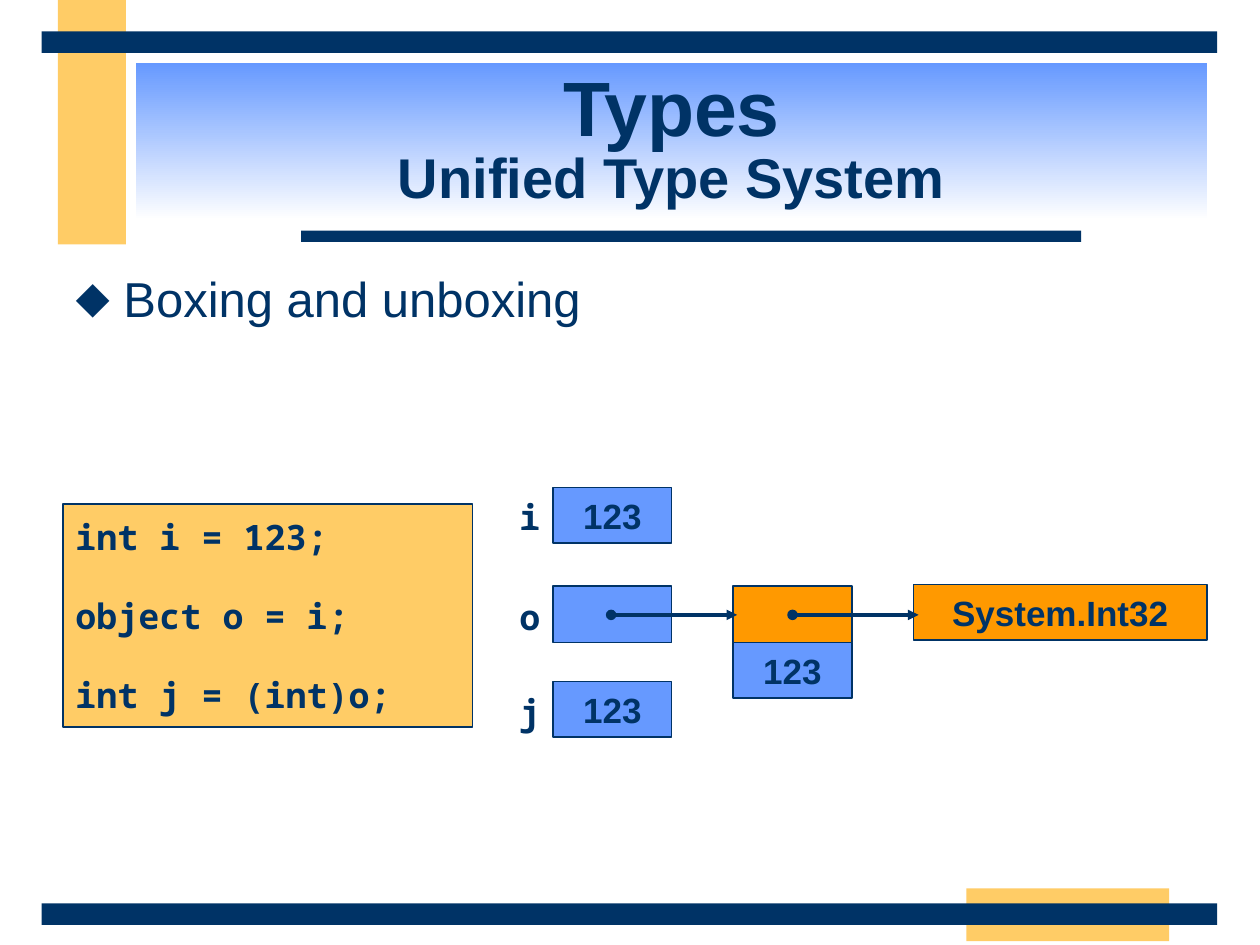
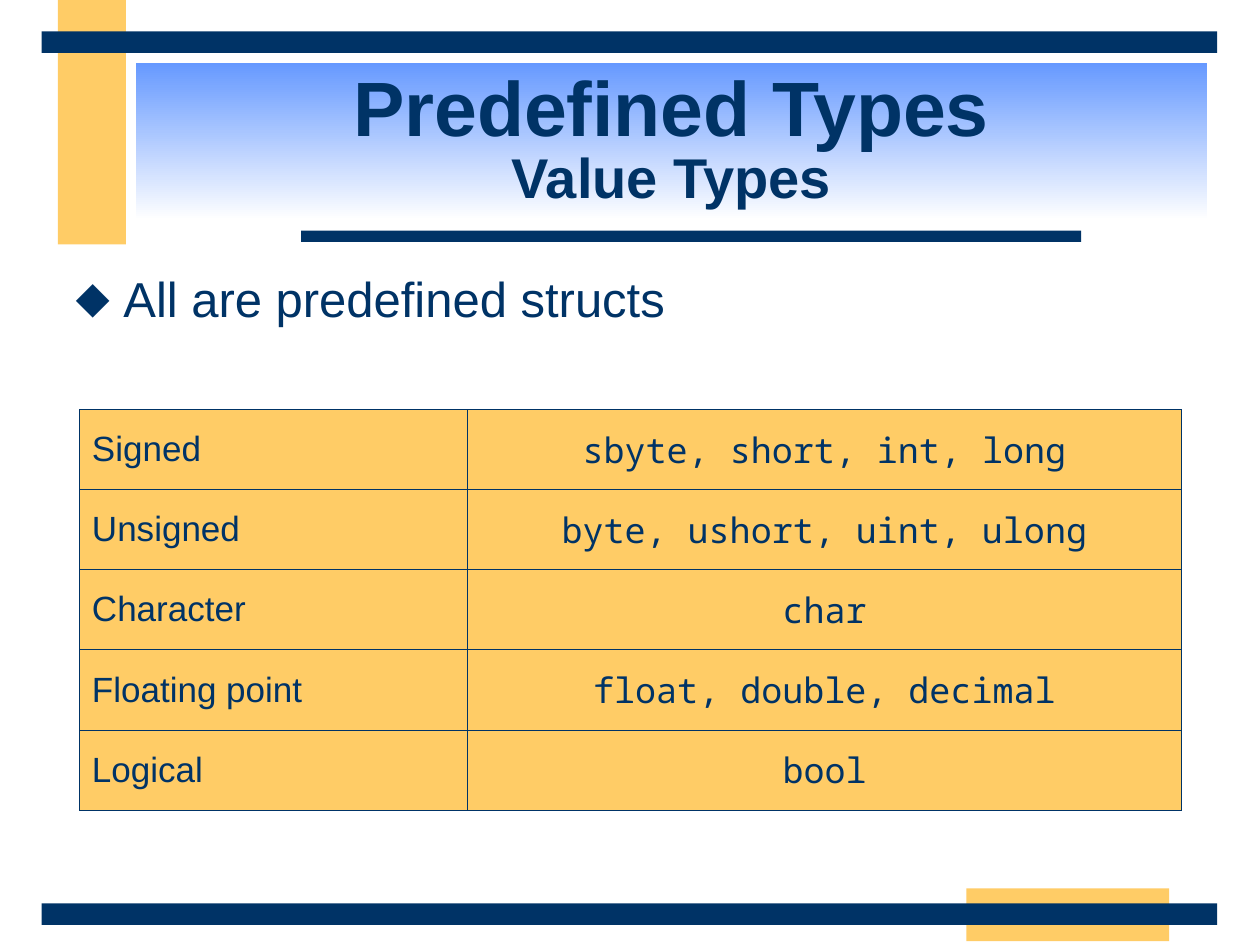
from dataclasses import dataclass

from lxml.etree import SubElement
from pptx import Presentation
from pptx.dml.color import RGBColor
from pptx.enum.shapes import MSO_CONNECTOR, MSO_SHAPE
from pptx.enum.text import MSO_ANCHOR as Anchor
from pptx.enum.text import MSO_AUTO_SIZE as AutoSize
from pptx.enum.text import PP_ALIGN as Align
from pptx.oxml.ns import qn
from pptx.util import Inches, Pt

COLORS = {
    "navy": "003366",
    "sand": "FFCC66",
    "blue": "6699FF",
    "orange": "FF9900",
    "white": "FFFFFF",
}
SANS = "Arial"
MONO = "Noto Sans Mono"


@dataclass(frozen=True)
class Block:
    left: float
    top: float
    width: float
    height: float
    fill: str
    text: str = ""
    border: float = 0

    @property
    def frame(self) -> tuple:
        return tuple(map(Inches, (self.left, self.top, self.width, self.height)))


@dataclass(frozen=True)
class Arrow:
    left: float
    right: float
    level: float


BANDS = (
    Block(0.46, 0, 0.54, 1.94, "sand"),
    Block(7.67, 7.05, 1.61, 0.42, "sand"),
    Block(2.39, 1.83, 6.19, 0.09, "navy"),
    Block(0.33, 7.17, 9.33, 0.17, "navy"),
    Block(0.33, 0.25, 9.33, 0.17, "navy"),
)
TITLE = Block(1.08, 0.5, 8.5, 1.25, "blue")
BODY = Block(0.5, 2.08, 9, 4.92, "white")

CODE = Block(0.5, 4, 3.25, 1.77, "sand", border=0.75)
CODE_LINES = ("int i = 123;", "object o = i;", "int j = (int)o;")
MEMORY = (
    Block(4.39, 3.87, 0.94, 0.44, "blue", "123", 1),
    Block(4.39, 5.41, 0.94, 0.44, "blue", "123", 1),
    Block(4.39, 4.65, 0.94, 0.45, "blue", border=1),
    Block(5.82, 4.65, 0.94, 0.45, "orange", border=1),
    Block(5.82, 5.1, 0.94, 0.44, "blue", "123", 1),
    Block(7.25, 4.64, 2.33, 0.44, "orange", "System.Int32", 1),
)
VARIABLES = {"i": 3.88, "o": 4.67, "j": 5.43}
REFERENCES = (Arrow(4.85, 5.85, 4.88), Arrow(6.29, 7.29, 4.88))

VALUE_TYPES = (
    ("Signed", "sbyte, short, int, long"),
    ("Unsigned", "byte, ushort, uint, ulong"),
    ("Character", "char"),
    ("Floating point", "float, double, decimal"),
    ("Logical", "bool"),
)
TABLE_COLUMNS = (3.08, 5.67)


def rgb(name: str) -> RGBColor:
    return RGBColor.from_string(COLORS[name])


def write(para, text: str, *, size=20, font=SANS, bold=False, align=Align.LEFT, before=0):
    para.alignment = align
    para.space_before = Pt(before)
    span = para.add_run()
    span.text = text
    span.font.size = Pt(size)
    span.font.name = font
    span.font.bold = bold
    span.font.color.rgb = rgb("navy")


def set_frame(frame, anchor=Anchor.MIDDLE, wrap=True) -> None:
    frame.auto_size = AutoSize.NONE
    frame.word_wrap = wrap
    frame.vertical_anchor = anchor
    frame.margin_left = frame.margin_right = Inches(0.1)
    frame.margin_top = frame.margin_bottom = Inches(0.05)


def draw_block(page, block: Block):
    box = page.shapes.add_shape(MSO_SHAPE.RECTANGLE, *block.frame)
    box.shadow.inherit = False
    box.fill.solid()
    box.fill.fore_color.rgb = rgb(block.fill)
    if block.border:
        box.line.color.rgb = rgb("navy")
        box.line.width = Pt(block.border)
    else:
        box.line.fill.background()
    set_frame(box.text_frame)
    if block.text:
        write(box.text_frame.paragraphs[0], block.text, bold=True, align=Align.CENTER)
    return box


def draw_label(page, text: str, top: float) -> None:
    box = page.shapes.add_textbox(Inches(4.02), Inches(top), Inches(0.37), Inches(0.44))
    set_frame(box.text_frame, wrap=False)
    write(box.text_frame.paragraphs[0], text, font=MONO, bold=True, align=Align.CENTER)


def draw_arrow(page, arrow: Arrow) -> None:
    level = Inches(arrow.level)
    line = page.shapes.add_connector(
        MSO_CONNECTOR.STRAIGHT, Inches(arrow.left), level, Inches(arrow.right), level
    )
    line.line.color.rgb = rgb("navy")
    line.line.width = Pt(2)
    properties = line.line._get_or_add_ln()
    SubElement(properties, qn("a:headEnd"), type="oval")
    SubElement(properties, qn("a:tailEnd"), type="triangle")
    SubElement(line.element.spPr, qn("a:effectLst"))


def place(box, block: Block) -> None:
    box.left, box.top, box.width, box.height = block.frame


def set_title(box, heading: str, subheading: str) -> None:
    place(box, TITLE)
    box.fill.gradient()
    box.fill.gradient_angle = 270
    for stop, color, position in zip(box.fill.gradient_stops, ("blue", "white"), (0, 1)):
        stop.color.rgb = rgb(color)
        stop.position = position
    set_frame(box.text_frame)
    para = box.text_frame.paragraphs[0]
    para.line_spacing = 0.85
    write(para, heading, size=44, bold=True, align=Align.CENTER)
    para.add_line_break()
    write(para, subheading, size=32, bold=True, align=Align.CENTER)


def set_body(box, text: str) -> None:
    place(box, BODY)
    set_frame(box.text_frame, anchor=Anchor.TOP)
    para = box.text_frame.paragraphs[0]
    write(para, text, size=28, before=7)
    properties = para._p.get_or_add_pPr()
    properties.set("marL", str(Inches(0.38)))
    properties.set("indent", str(Inches(-0.38)))
    color = SubElement(properties, qn("a:buClr"))
    SubElement(color, qn("a:srgbClr"), val=COLORS["navy"])
    SubElement(properties, qn("a:buFont"), typeface=SANS)
    SubElement(properties, qn("a:buChar"), char="⬥")


def add_page(deck, heading: str, subheading: str, bullet: str):
    page = deck.slides.add_slide(deck.slide_layouts[1])
    for band in BANDS:
        draw_block(page, band)
    set_title(page.shapes.title, heading, subheading)
    set_body(page.placeholders[1], bullet)
    return page


def set_borders(cell) -> None:
    properties = cell._tc.get_or_add_tcPr()
    for index, side in enumerate(("lnL", "lnR", "lnT", "lnB")):
        line = properties.makeelement(qn(f"a:{side}"), {"w": str(Pt(0.45))})
        fill = SubElement(line, qn("a:solidFill"))
        SubElement(fill, qn("a:srgbClr"), val=COLORS["navy"])
        properties.insert(index, line)


def draw_table(page) -> None:
    table = page.shapes.add_table(
        len(VALUE_TYPES), 2, Inches(0.63), Inches(3.25), Inches(8.75), Inches(3.18)
    ).table
    table.first_row = table.horz_banding = False
    for column, width in zip(table.columns, TABLE_COLUMNS):
        column.width = Inches(width)
    styles = ((SANS, Align.LEFT), (MONO, Align.CENTER))
    for row, texts in zip(table.rows, VALUE_TYPES):
        for cell, text, (font, align) in zip(row.cells, texts, styles):
            cell.fill.solid()
            cell.fill.fore_color.rgb = rgb("sand")
            cell.vertical_anchor = Anchor.MIDDLE
            write(cell.text_frame.paragraphs[0], text, font=font, align=align, before=5)
            set_borders(cell)


def add_boxing_page(deck) -> None:
    page = add_page(deck, "Types", "Unified Type System", "Boxing and unboxing")
    frame = draw_block(page, CODE).text_frame
    for index, text in enumerate(CODE_LINES):
        para = frame.add_paragraph() if index else frame.paragraphs[0]
        write(para, text, font=MONO, bold=True, before=21 if index else 0)
    for block in MEMORY:
        draw_block(page, block)
    for name, top in VARIABLES.items():
        draw_label(page, name, top)
    for arrow in REFERENCES:
        draw_arrow(page, arrow)


def add_value_types_page(deck) -> None:
    page = add_page(deck, "Predefined Types", "Value Types", "All are predefined structs")
    draw_table(page)


def main() -> None:
    deck = Presentation()
    deck.slide_width, deck.slide_height = Inches(10), Inches(7.5)
    add_boxing_page(deck)
    add_value_types_page(deck)
    deck.save("out.pptx")


if __name__ == "__main__":
    main()
